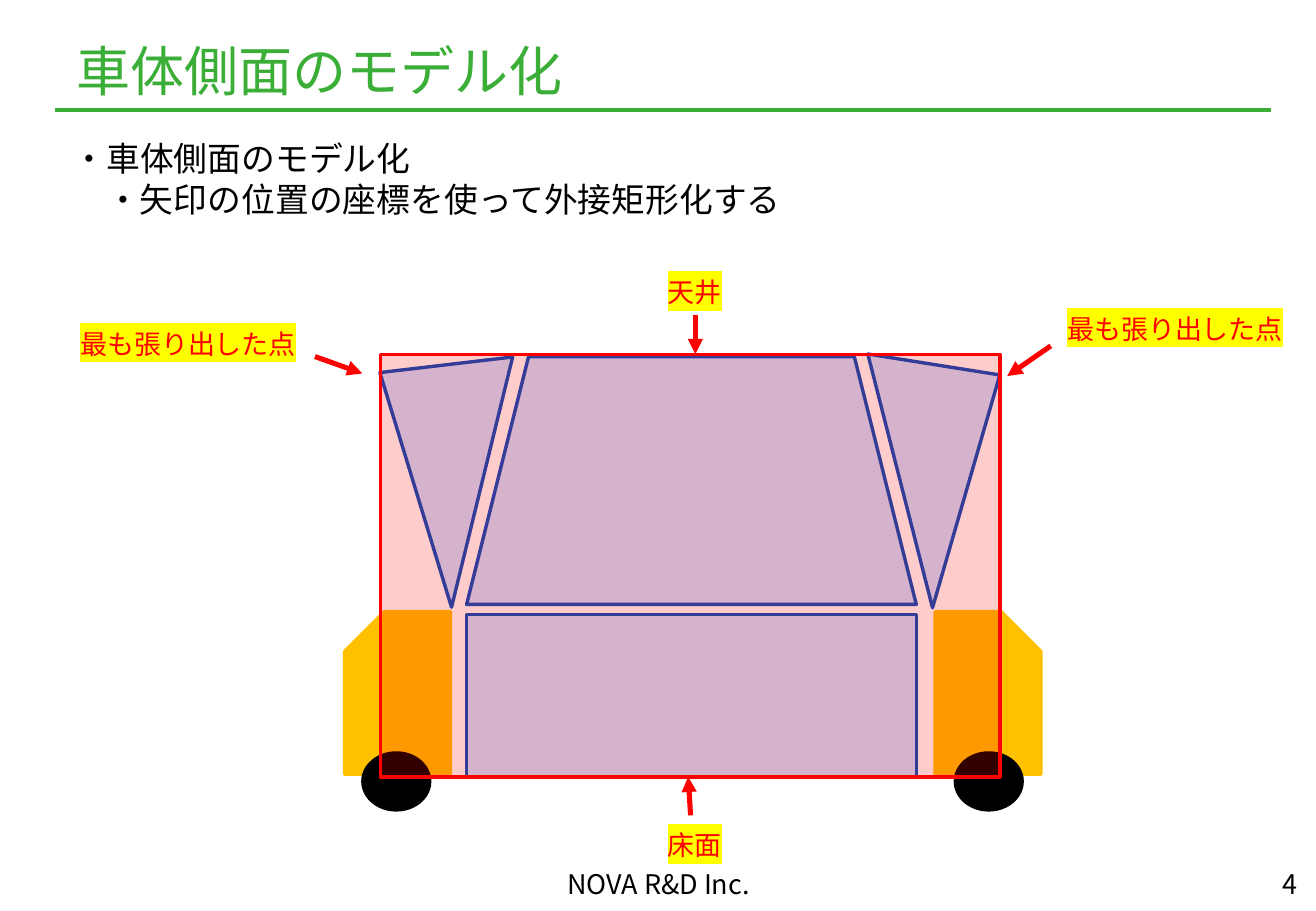
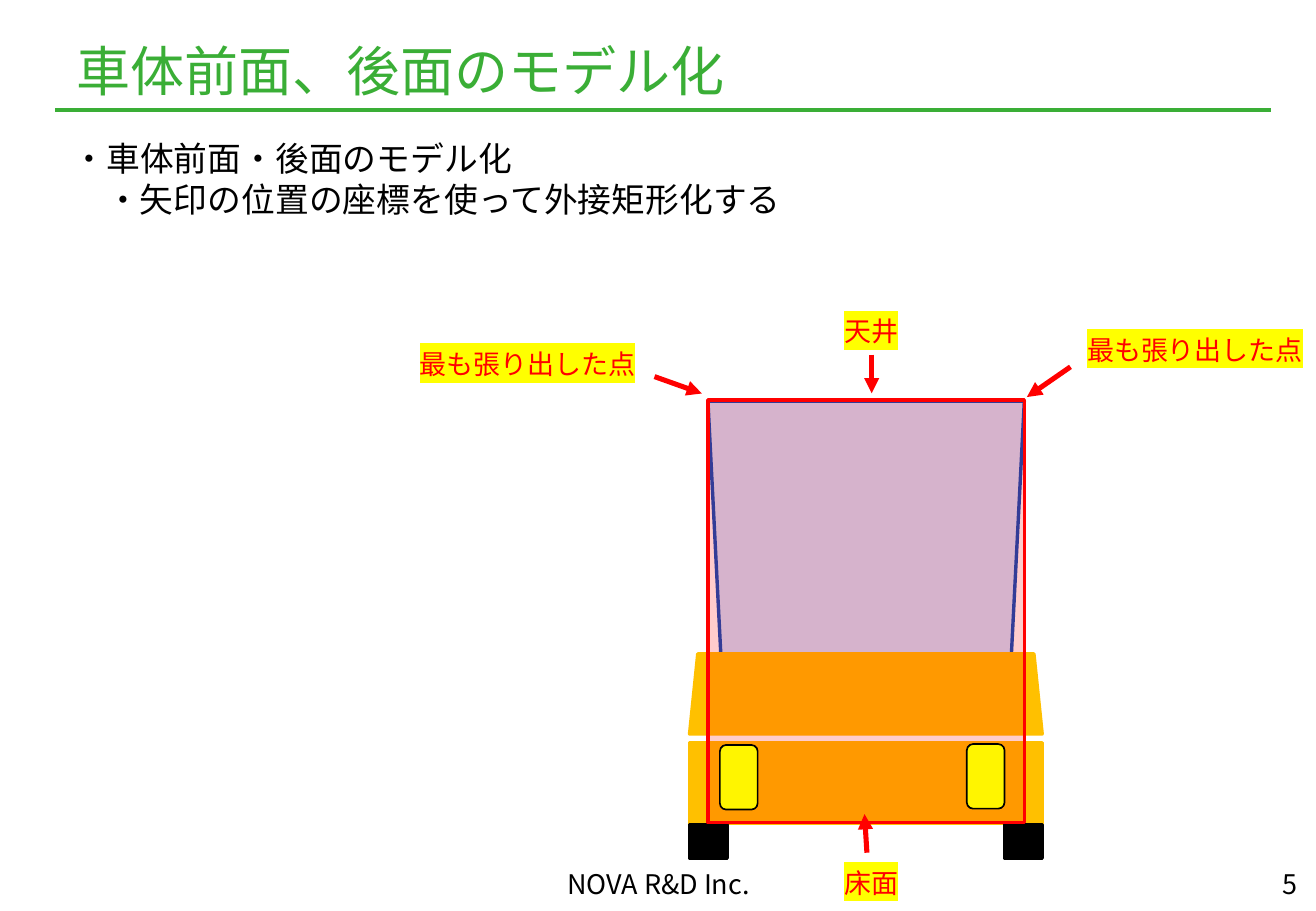
from dataclasses import dataclass

from lxml.etree import SubElement
from pptx import Presentation
from pptx.dml.color import RGBColor
from pptx.enum.shapes import MSO_CONNECTOR, MSO_SHAPE as Preset
from pptx.enum.text import MSO_ANCHOR as Anchor, MSO_AUTO_SIZE, PP_ALIGN as Align
from pptx.oxml.ns import qn
from pptx.util import Inches, Pt

COLORS = {
    "title": "3AAE36", "text": "000000", "mark": "FF0000", "highlight": "FFFF00",
    "glass": "0066FF", "glass_edge": "004BBD", "body": "FFC000", "tire": "000000",
    "lamp": "FFFF00",
}
CJK_FONT, LATIN_FONT = "Noto Sans CJK JP", "Arial"


@dataclass
class Box:
    left: float
    top: float
    width: float
    height: float

    def point(self, x, y):
        """Point at x and y percent of this box."""
        return self.left + self.width * x / 100, self.top + self.height * y / 100

    def inner(self, x, y, width, height):
        """Inner box given in percent of this box."""
        return Box(*self.point(x, y), self.width * width / 100, self.height * height / 100)

    def emu(self):
        return [Inches(v) for v in (self.left, self.top, self.width, self.height)]


PAGE = Box(0, 0, 10.83, 7.5)

# Percent of the label box: arrow tail, arrow head
CALLOUTS = {
    "left": ("最も張り出した点", (97.7, 78.4), (115.5, 116.2)),
    "right": ("最も張り出した点", (3.2, 89.2), (-13.2, 156.8)),
    "roof": ("天井", (50.2, 102.7), (50.2, 189.2)),
    "floor": ("床面", (48.4, -16.2), (47.5, -102.7)),
}


def rgb(name):
    return RGBColor.from_string(COLORS[name])


# Basic shapes, lines and text
def add_block(page, preset, box, fill, edge=None, alpha=None, weight=2, adjust=None,
              flip=None, turn=0):
    shape = page.shapes.add_shape(preset, *box.emu())
    shape.shadow.inherit = False
    shape.fill.solid()
    shape.fill.fore_color.rgb = rgb(fill)
    shape.line.color.rgb = rgb(edge or fill)
    shape.line.width = Pt(weight)
    shape.rotation = turn
    if adjust is not None:
        shape.adjustments[0] = adjust
    properties = shape.element.spPr
    if alpha:
        color = properties.find(qn("a:solidFill"))[0]
        SubElement(color, qn("a:alpha"), val=str(alpha * 1000))
    if flip:
        properties.find(qn("a:xfrm")).set(flip, "1")


def add_glass(page, preset, box, **options):
    add_block(page, preset, box, "glass", "glass_edge", alpha=20, **options)


def add_frame(page, box):
    add_block(page, Preset.RECTANGLE, box, "mark", alpha=20)


def add_line(page, start, end, color, weight, arrow=False):
    line = page.shapes.add_connector(
        MSO_CONNECTOR.STRAIGHT, *[Inches(v) for v in (*start, *end)])
    line.line.color.rgb = rgb(color)
    line.line.width = Pt(weight)
    properties = line.element.spPr
    if arrow:
        SubElement(properties.find(qn("a:ln")), qn("a:tailEnd"), type="triangle")
    SubElement(properties, qn("a:effectLst"))


def write(shape, lines, size, color, font, align=Align.LEFT, anchor=Anchor.TOP):
    frame = shape.text_frame
    frame.word_wrap = True
    frame.auto_size = MSO_AUTO_SIZE.NONE
    frame.vertical_anchor = anchor
    frame.text = "\n".join(lines)
    for para in frame.paragraphs:
        para.alignment = align
        para.font.size = Pt(size)
        para.font.color.rgb = rgb(color)
        para.font.name = font
    if font == CJK_FONT:
        for latin in list(shape.element.iter(qn("a:latin"))):
            east_asian = SubElement(latin.getparent(), qn("a:ea"), typeface=font)
            latin.addnext(east_asian)


def add_text(page, box, lines, size, color, font, **options):
    shape = page.shapes.add_textbox(*box.emu())
    write(shape, lines, size, color, font, **options)
    return shape


# Title, rule, lead text and footer
def add_page(deck, title, lead, number):
    page = deck.slides.add_slide(deck.slide_layouts[5])
    heading = page.shapes.title
    heading.left, heading.top, heading.width, heading.height = \
        PAGE.inner(4.9, 2.8, 78.9, 8.4).emu()
    write(heading, [title], 32, "title", CJK_FONT, anchor=Anchor.BOTTOM)
    heading.text_frame.margin_bottom = 0
    add_line(page, PAGE.point(4.2, 12.1), PAGE.point(96.6, 12.1), "title", 2.25)

    bullets = add_text(page, PAGE.inner(4.6, 14.5, 58.2, 10.3),
                       [lead, "・矢印の位置の座標を使って外接矩形化する"],
                       20, "text", LATIN_FONT)
    for para in bullets.text_frame.paragraphs:
        para.line_spacing = Pt(24)
    second = list(bullets.element.iter(qn("a:pPr")))[1]
    second.set("marL", str(Pt(20)))
    second.set("indent", "0")

    footer = (
        (PAGE.inner(76.1, 95.2, 23.4, 3.5), str(number), Align.RIGHT),
        (PAGE.inner(34.2, 95.2, 31.7, 3.7), "NOVA R&D Inc.", Align.CENTER),
    )
    for box, words, align in footer:
        note = add_text(page, box, [words], 16, "text", CJK_FONT, align=align)
        note.text_frame.margin_top = 0
    return page


# Highlighted labels, each with its arrow
def add_callouts(page, places):
    for name, place in places.items():
        words, tail, head = CALLOUTS[name]
        box = PAGE.inner(*place, 20.2, 4.9)
        add_line(page, box.point(*tail), box.point(*head), "mark", 3, arrow=True)
        label = add_text(page, box, [words], 16, "mark", LATIN_FONT,
                         align=Align.CENTER, anchor=Anchor.MIDDLE)
        for span in label.element.iter(qn("a:r")):
            highlight = SubElement(span.get_or_add_rPr(), qn("a:highlight"))
            SubElement(highlight, qn("a:srgbClr"), val=COLORS["highlight"])


# Car seen from the side
def add_side_view(page, car):
    triangle = Preset.ISOSCELES_TRIANGLE
    add_glass(page, triangle, car.inner(72.3, 1.9, 19.2, 52.8), adjust=0.225, turn=189)
    add_glass(page, Preset.TRAPEZOID, car.inner(17.5, 0.5, 64.6, 54.4))
    add_glass(page, triangle, car.inner(7, 2.1, 19.2, 53), adjust=0.673, turn=173.3)
    add_glass(page, Preset.RECTANGLE, car.inner(17.5, 57.1, 64.6, 35.7))
    for x, flip in ((84.8, None), (0, "flipH")):
        add_block(page, Preset.SNIP_1_RECTANGLE, car.inner(x, 56.5, 15.2, 35.7),
                  "body", adjust=0.375, flip=flip)
    for x in (2.6, 87.7):
        add_block(page, Preset.OVAL, car.inner(x, 87.5, 9.6, 12.5), "tire")
    add_frame(page, car.inner(5.1, 0, 89, 92.8))


# Car seen from the front
def add_front_view(page, car):
    add_glass(page, Preset.TRAPEZOID, car.inner(5.2, 0.3, 89.7, 55.2),
              adjust=0.051, flip="flipV")
    add_block(page, Preset.TRAPEZOID, car.inner(0, 55.4, 100, 17.5), "body", adjust=0.103)
    add_block(page, Preset.RECTANGLE, car.inner(0, 74.8, 100, 17.5), "body")
    for x in (0, 89.3):
        add_block(page, Preset.RECTANGLE, car.inner(x, 92.6, 10.7, 7.4), "tire")
    add_frame(page, car.inner(5.2, 0, 89.7, 92.3))
    for x, y in ((78.6, 75.1), (8.6, 75.3)):
        add_block(page, Preset.ROUNDED_RECTANGLE, car.inner(x, y, 10.7, 14.1),
                  "lamp", "text", alpha=90, weight=1)


def main():
    deck = Presentation()
    deck.slide_width, deck.slide_height = Inches(PAGE.width), Inches(PAGE.height)

    side = add_page(deck, "車体側面のモデル化", "・車体側面のモデル化", 4)
    add_side_view(side, PAGE.inner(26.2, 38.9, 52.9, 50))
    add_callouts(side, {"left": (4.2, 35.3), "right": (79.2, 33.6),
                        "roof": (42.7, 29.6), "floor": (42.7, 90.3)})

    front = add_page(deck, "車体前面、後面のモデル化", "・車体前面・後面のモデル化", 5)
    add_front_view(front, PAGE.inner(52.4, 43.9, 26.8, 50.3))
    add_callouts(front, {"left": (30, 37.5), "right": (80.7, 35.9),
                         "roof": (56.1, 33.9), "floor": (56.1, 94.4)})
    deck.save("out.pptx")


if __name__ == "__main__":
    main()
